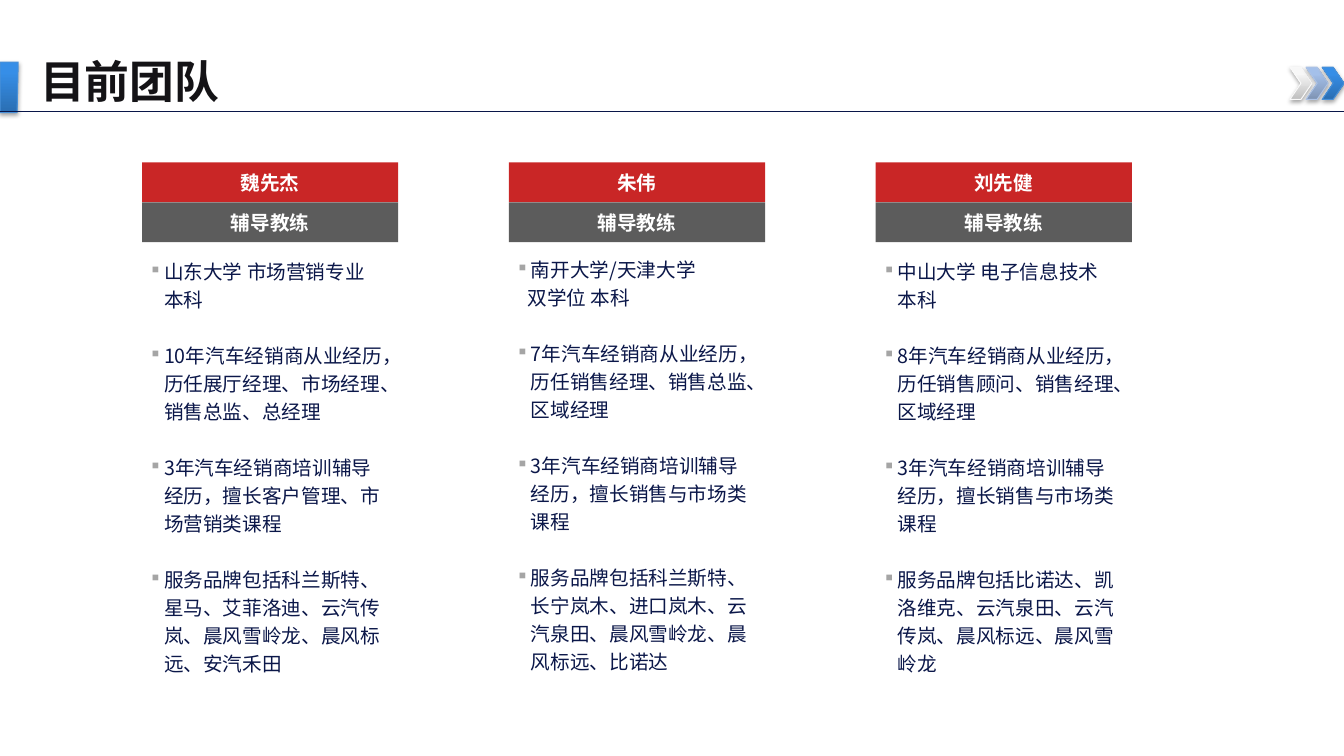
from dataclasses import dataclass
from lxml.etree import SubElement
from pptx import Presentation
from pptx.dml.color import RGBColor as RGB
from pptx.enum.shapes import MSO_CONNECTOR as Connector, MSO_SHAPE as Preset
from pptx.enum.text import MSO_ANCHOR as Anchor, PP_ALIGN as Align
from pptx.oxml.ns import qn
from pptx.util import Pt


@dataclass(frozen=True)
class Theme:
    font: str = "Noto Sans CJK SC"
    title_size: int = 32
    body_size: int = 14
    leading: int = 20
    title: str = "141316"
    body: str = "0B1749"
    light: str = "FFFFFF"
    bullet: str = "A5A5A5"
    rule: str = "091649"
    name_bar: str = "C00000"
    role_bar: str = "404040"
    # Each glossy style: gradient bottom, gradient top, outline
    blue: tuple = ("2A6EB2", "368EE7", "4890D8")
    pale_blue: tuple = ("7F94B4", "A4C0EA", "ADC3E5")
    silver: tuple = ("BEBEBE", "F7F7F7", "F9F9F9")


THEME = Theme()
INDENT = 8.64

COACHES = [
    dict(name="魏先杰", role="辅导教练", body_top=62.6, degree=None, facts=[
        "山东大学 市场营销专业 本科",
        "10年汽车经销商从业经历，历任展厅经理、市场经理、销售总监、总经理",
        "3年汽车经销商培训辅导经历，擅长客户管理、市场营销类课程",
        "服务品牌包括科兰斯特、星马、艾菲洛迪、云汽传岚、晨风雪岭龙、晨风标远、安汽禾田"]),
    dict(name="朱伟", role="辅导教练", body_top=61.2, degree="双学位 本科", facts=[
        "南开大学/天津大学",
        "7年汽车经销商从业经历，历任销售经理、销售总监、区域经理",
        "3年汽车经销商培训辅导经历，擅长销售与市场类课程",
        "服务品牌包括科兰斯特、长宁岚木、进口岚木、云汽泉田、晨风雪岭龙、晨风标远、比诺达"]),
    dict(name="刘先健", role="辅导教练", body_top=62.6, degree=None, facts=[
        "中山大学 电子信息技术 本科",
        "8年汽车经销商从业经历，历任销售顾问、销售经理、区域经理",
        "3年汽车经销商培训辅导经历，擅长销售与市场类课程",
        "服务品牌包括比诺达、凯洛维克、云汽泉田、云汽传岚、晨风标远、晨风雪岭龙"]),
]


def add_xml(parent, tag, **attributes):
    return SubElement(parent, qn(tag), {key: str(value) for key, value in attributes.items()})


def write(paragraph, text, size=THEME.body_size, color=THEME.body, bold=False,
          align=None, leading=None, after=0, indent=0, bullet=False):
    run = paragraph.add_run()
    run.text = text
    run.font.size, run.font.bold = Pt(size), bold
    run.font.color.rgb = RGB.from_string(color)
    run.font.name = THEME.font
    add_xml(run.font._element, "a:ea", typeface=THEME.font)
    paragraph.alignment = align
    paragraph.space_after = Pt(after)
    if leading:
        paragraph.line_spacing = Pt(leading)
    properties = paragraph._p.get_or_add_pPr()
    properties.set("marL", str(Pt(indent)))
    if bullet:
        properties.set("indent", str(-Pt(indent)))
        add_xml(add_xml(properties, "a:buClr"), "a:srgbClr", val=THEME.bullet)
        add_xml(properties, "a:buSzPct", val=50000)
        add_xml(properties, "a:buChar", char="■")


def make_glossy(shape, style):
    bottom, top, outline = style
    shape.fill.gradient()
    shape.fill.gradient_angle = 90
    for stop, color, position in zip(shape.fill.gradient_stops, (bottom, top), (0, 0.8)):
        stop.color.rgb = RGB.from_string(color)
        stop.position = position
    shape.line.color.rgb = RGB.from_string(outline)
    shape.line.width = Pt(0.75)
    effects = add_xml(shape._element.spPr, "a:effectLst")
    shadow = add_xml(effects, "a:outerShdw", blurRad=Pt(3.1), dist=Pt(1.8),
                     dir=5400000, rotWithShape=0)
    add_xml(add_xml(shadow, "a:srgbClr", val="000000"), "a:alpha", val=35000)


def add_header(shapes, left, top, width, height, title):
    # Slanted tab at the slide edge
    outline = shapes.build_freeform(Pt(left), Pt(top + 9.4))
    outline.add_line_segments([(Pt(left + x), Pt(top + y))
                               for x, y in ((13, 9.4), (12.2, 45.4), (0, 45.4))])
    make_glossy(outline.convert_to_shape(), THEME.blue)

    # Title
    heading = shapes.add_textbox(Pt(left + 21.6), Pt(top), Pt(width - 21.6), Pt(height)).text_frame
    heading.word_wrap = True
    write(heading.paragraphs[0], title, size=THEME.title_size, color=THEME.title, bold=True)

    # Rule under the title
    rule_y = Pt(top + 44.7)
    rule = shapes.add_connector(Connector.STRAIGHT, Pt(left), rule_y, Pt(left + width), rule_y)
    rule.line.color.rgb = RGB.from_string(THEME.rule)
    rule.line.width = Pt(0.75)
    add_xml(rule._element.spPr, "a:effectLst")

    # Chevrons ending at the right edge
    for index, style in enumerate((THEME.silver, THEME.pale_blue, THEME.blue)):
        chevron = shapes.add_shape(Preset.CHEVRON, Pt(left + width - 38.6 + index * 11.5),
                                   Pt(top + 13), Pt(15.8), Pt(23))
        make_glossy(chevron, style)


def add_bar(shapes, left, top, width, height, text, color):
    bar = shapes.add_shape(Preset.RECTANGLE, Pt(left), Pt(top), Pt(width), Pt(height))
    bar.shadow.inherit = False
    bar.line.fill.background()
    bar.fill.solid()
    bar.fill.fore_color.rgb = RGB.from_string(color)
    add_xml(bar._element.spPr.find(".//" + qn("a:srgbClr")), "a:alpha", val=85000)
    bar.text_frame.vertical_anchor = Anchor.MIDDLE
    write(bar.text_frame.paragraphs[0], text, color=THEME.light, bold=True, align=Align.CENTER)


def add_coach(shapes, left, top, width, height, coach):
    # Name and role bars
    add_bar(shapes, left, top, width, 28.4, coach["name"], THEME.name_bar)
    add_bar(shapes, left, top + 28.6, width, 28.4, coach["role"], THEME.role_bar)

    # Career facts, with an optional degree line under the first
    body_top = coach["body_top"]
    facts = shapes.add_textbox(Pt(left), Pt(top + body_top), Pt(width),
                               Pt(height - body_top)).text_frame
    facts.word_wrap = True
    for index, fact in enumerate(coach["facts"]):
        paragraph = facts.add_paragraph() if index else facts.paragraphs[0]
        degree = coach["degree"] if index == 0 else None
        write(paragraph, fact, leading=THEME.leading, after=0 if degree else THEME.leading,
              indent=INDENT, bullet=True)
        if degree:
            write(facts.add_paragraph(), degree, leading=THEME.leading,
                  after=THEME.leading, indent=6.4)


def main():
    deck = Presentation()
    deck.slide_width, deck.slide_height = Pt(960), Pt(540)
    shapes = deck.slides.add_slide(deck.slide_layouts[6]).shapes
    add_header(shapes, 0, 35, 960, 46, "目前团队")
    for column, coach in enumerate(COACHES):
        add_coach(shapes, 101.5 + column * 262, 116, 183, 373, coach)
    deck.save("out.pptx")


if __name__ == "__main__":
    main()
